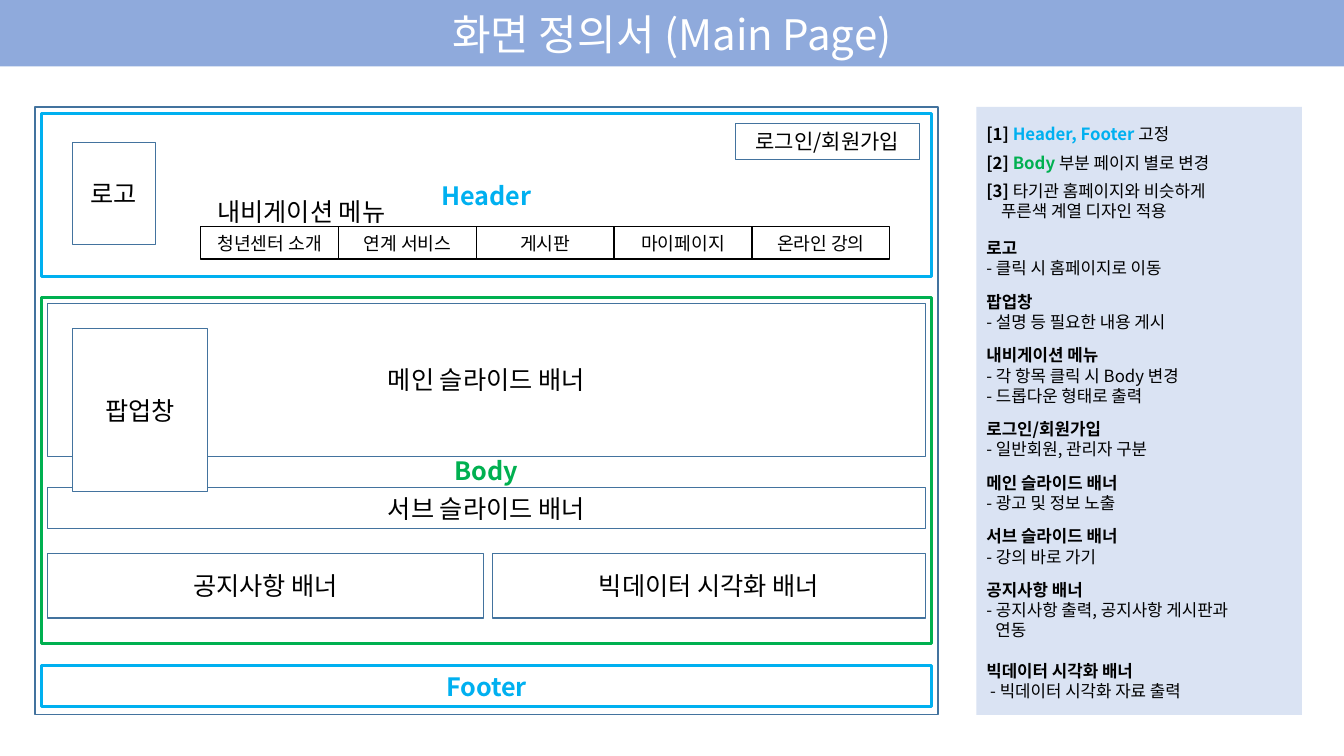
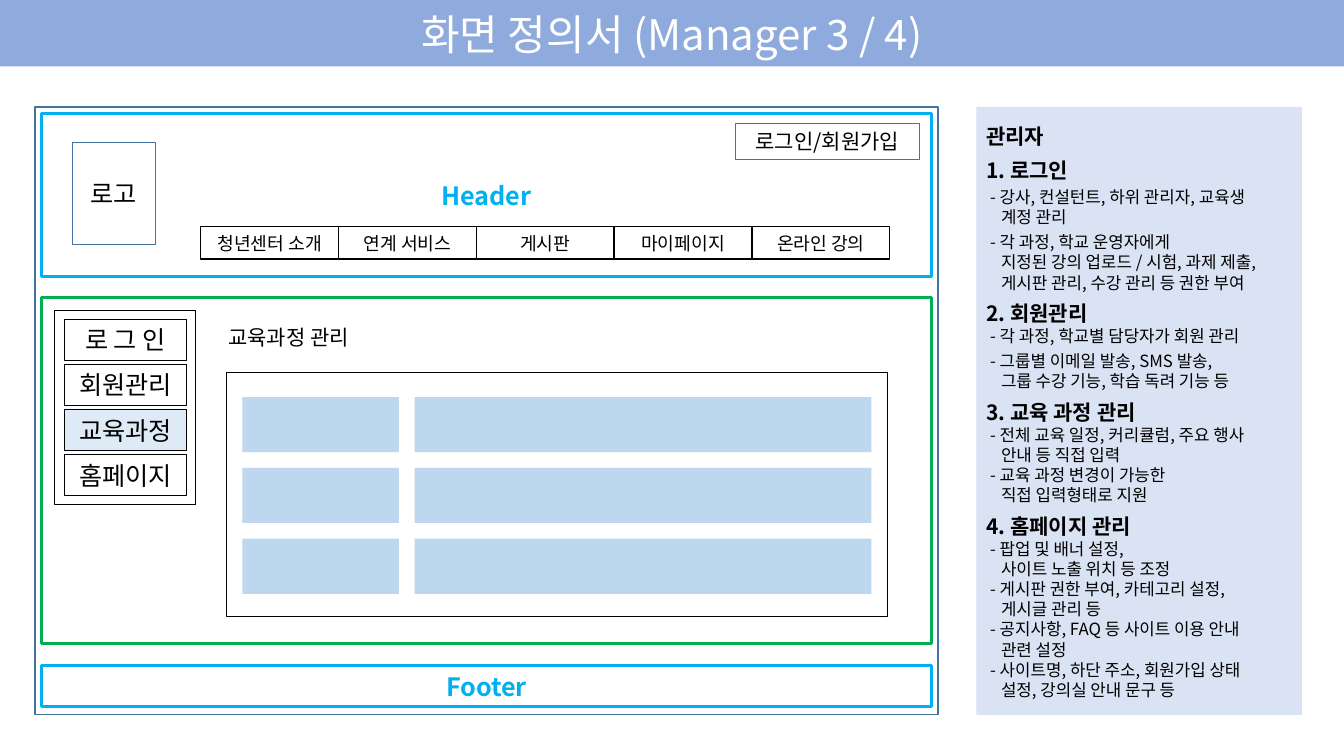
"""Build two screen definition slides: the main page and a manager page."""
import pptx
import pptx.dml.color
import pptx.enum.shapes
import pptx.enum.text
import pptx.oxml.ns
import pptx.util
from lxml import etree

Pt = pptx.util.Pt
ALIGN = pptx.enum.text.PP_ALIGN
ANCHOR = pptx.enum.text.MSO_ANCHOR
FONT = "Noto Sans CJK KR"
COLORS = {
    "band": "8FAADC",
    "panel": "DAE3F3",
    "header": "00B0F0",
    "body": "00B050",
    "frame": "43739E",
    "ink": "000000",
    "white": "FFFFFF",
    "selected": "DEEBF7",
    "cell": "BDD7EE",
}


def write(paragraph, text, size=18, color="ink", bold=False, align=ALIGN.CENTER):
    paragraph.alignment = align
    for number, line in enumerate(text.split("\n")):
        if number:
            paragraph.add_line_break()
        run = paragraph.add_run()
        run.text = line
        run.font.size = Pt(size)
        run.font.bold = bold
        run.font.name = FONT
        run.font.color.rgb = pptx.dml.color.RGBColor.from_string(COLORS[color])
        east_asian = etree.SubElement(run.font._element, pptx.oxml.ns.qn("a:ea"))
        east_asian.set("typeface", FONT)


def box(slide, left, top, width, height, text="", fill=None, line=None, weight=0.75, **style):
    shape = slide.shapes.add_shape(
        pptx.enum.shapes.MSO_SHAPE.RECTANGLE, Pt(left), Pt(top), Pt(width), Pt(height))
    shape.shadow.inherit = False
    if fill:
        shape.fill.solid()
        shape.fill.fore_color.rgb = pptx.dml.color.RGBColor.from_string(COLORS[fill])
    else:
        shape.fill.background()
    if line:
        shape.line.color.rgb = pptx.dml.color.RGBColor.from_string(COLORS[line])
        shape.line.width = Pt(weight)
    else:
        shape.line.fill.background()
    shape.text_frame.word_wrap = True
    shape.text_frame.vertical_anchor = ANCHOR.MIDDLE
    if text:
        write(shape.text_frame.paragraphs[0], text, **style)
    return shape


main_notes = [
    dict(runs=[("[1] ", "ink", True), ("Header, Footer ", "header", True), ("고정", "ink", False)]),
    dict(runs=[("[2] ", "ink", True), ("Body ", "body", True),
               ("부분 페이지 별로 변경", "ink", False)], before=6),
    dict(runs=[("[3] ", "ink", True),
               ("타기관 홈페이지와 비슷하게\n푸른색 계열 디자인 적용", "ink", False)],
         before=6, left=10.5, first=-10.5),
]
main_topics = [
    (12, "로고", ["클릭 시 홈페이지로 이동"]),
    (9.5, "팝업창", ["설명 등 필요한 내용 게시"]),
    (9.5, "내비게이션 메뉴", ["각 항목 클릭 시 Body 변경", "드롭다운 형태로 출력"]),
    (9.5, "로그인/회원가입", ["일반회원, 관리자 구분"]),
    (9.5, "메인 슬라이드 배너", ["광고 및 정보 노출"]),
    (9.5, "서브 슬라이드 배너", ["강의 바로 가기"]),
    (9.5, "공지사항 배너", ["공지사항 출력, 공지사항 게시판과\n연동"]),
    (14.5, "빅데이터 시각화 배너", ["빅데이터 시각화 자료 출력"]),
]
for gap, topic, details in main_topics:
    main_notes.append(dict(runs=[(topic, "ink", True)], before=gap))
    for detail in details:
        main_notes.append(dict(runs=[("- " + detail, "ink", False)], left=6.5, first=-6.5))
main_notes[-1].update(left=9.2)

manager_notes = [dict(runs=[("관리자", "ink", True)], size=15)]
manager_topics = [
    ("1. 로그인", [
        (3, "강사, 컨설턴트, 하위 관리자, 교육생\n계정 관리"),
        (3.5, "각 과정, 학교 운영자에게\n지정된 강의 업로드 / 시험, 과제 제출,\n게시판 관리, 수강 관리 등 권한 부여"),
    ]),
    ("2. 회원관리", [
        (0, "각 과정, 학교별 담당자가 회원 관리"),
        (3, "그룹별 이메일 발송, SMS 발송,\n그룹 수강 기능, 학습 독려 기능 등"),
    ]),
    ("3. 교육 과정 관리", [
        (0, "전체 교육 일정, 커리큘럼, 주요 행사\n안내 등 직접 입력"),
        (0, "교육 과정 변경이 가능한\n직접 입력형태로 지원"),
    ]),
    ("4. 홈페이지 관리", [
        (0, "팝업 및 배너 설정,\n사이트 노출 위치 등 조정"),
        (0, "게시판 권한 부여, 카테고리 설정,\n게시글 관리 등"),
        (0, "공지사항, FAQ 등 사이트 이용 안내\n관련 설정"),
        (0, "사이트명, 하단 주소, 회원가입 상태\n설정, 강의실 안내 문구 등"),
    ]),
]
for topic, details in manager_topics:
    manager_notes.append(dict(runs=[(topic, "ink", True)], size=15, before=6))
    for gap, detail in details:
        manager_notes.append(
            dict(runs=[("- " + detail, "ink", False)], before=gap, left=10.5, first=-7.8))

deck = pptx.Presentation()
deck.slide_width, deck.slide_height = Pt(960), Pt(540)
menu_items = ["청년센터 소개", "연계 서비스", "게시판", "마이페이지", "온라인 강의"]
pages = []

for heading, body_label, notes in [
    ("화면 정의서 (Main Page)", "Body", main_notes),
    ("화면 정의서 (Manager 3 / 4)", "", manager_notes),
]:
    page = deck.slides.add_slide(deck.slide_layouts[5])
    pages.append(page)
    title = page.shapes.title
    title.left, title.top, title.width, title.height = Pt(0), Pt(0), Pt(960), Pt(47.5)
    title.fill.solid()
    title.fill.fore_color.rgb = pptx.dml.color.RGBColor.from_string(COLORS["band"])
    title.text_frame.auto_size = pptx.enum.text.MSO_AUTO_SIZE.NONE
    title.text_frame.vertical_anchor = ANCHOR.MIDDLE
    write(title.text_frame.paragraphs[0], heading, size=30, color="white")

    for label, color, top, height in [
        ("Header", "header", 81.2, 116.6),
        (body_label, "body", 212.4, 247),
        ("Footer", "header", 475.6, 29),
    ]:
        box(page, 29.5, top, 636, height, label, line=color, weight=2, color=color, bold=True)
    box(page, 25, 76.4, 645, 434.2, line="frame", weight=1)
    box(page, 51.8, 102, 59, 72.7, "로고", line="frame")
    box(page, 525.4, 88.4, 131.2, 25.4, "로그인/회원가입", line="frame", size=15)
    for column, item in enumerate(menu_items):
        box(page, 143.3 + 98.45 * column, 162, 98.45, 23, item, line="ink", weight=1, size=13)

    panel = box(page, 697.5, 76.4, 232.5, 434.2, fill="panel").text_frame
    panel.vertical_anchor = ANCHOR.TOP
    panel.margin_top = Pt(12)
    for number, note in enumerate(notes):
        paragraph = panel.add_paragraph() if number else panel.paragraphs[0]
        size = note.get("size", 12)
        paragraph.line_spacing = Pt(1.2 * size)
        paragraph.space_before = Pt(note.get("before", 0))
        indents = paragraph._p.get_or_add_pPr()
        indents.set("marL", str(Pt(note.get("left", 0))))
        indents.set("indent", str(Pt(note.get("first", 0))))
        for text, color, bold in note["runs"]:
            write(paragraph, text, size=size, color=color, bold=bold, align=ALIGN.LEFT)

main_page, manager_page = pages

for banner, left, top, width, height in [
    ("메인 슬라이드 배너", 33.8, 216.7, 627.2, 109.3),
    ("서브 슬라이드 배너", 33.8, 348.3, 627.2, 29),
    ("공지사항 배너", 33.8, 395.3, 311.6, 46.2),
    ("빅데이터 시각화 배너", 351.6, 395.3, 309.4, 46.2),
]:
    box(main_page, left, top, width, height, banner, line="frame")
box(main_page, 51.8, 234.5, 96.5, 116.6, "팝업창", fill="white", line="frame")
box(main_page, 134.6, 136.5, 161.3, 29, "내비게이션 메뉴")

box(manager_page, 38.9, 221.6, 100.8, 139, line="ink", weight=1)
for row, item in enumerate(["로 그 인", "회원관리", "교육과정", "홈페이지"]):
    chosen = "selected" if item == "교육과정" else None
    box(manager_page, 46, 228.2 + 32.2 * row, 87.2, 29, item, fill=chosen, line="ink")
box(manager_page, 156, 228.2, 111, 25.4, "교육과정 관리", size=15, align=ALIGN.LEFT)
box(manager_page, 162, 266.3, 472, 174.2, line="ink")
for row in range(3):
    for left, width in [(173.2, 111.8), (296.2, 326.2)]:
        box(manager_page, left, 283.6 + 50.6 * row, width, 39.4, fill="cell")

deck.save("out.pptx")
